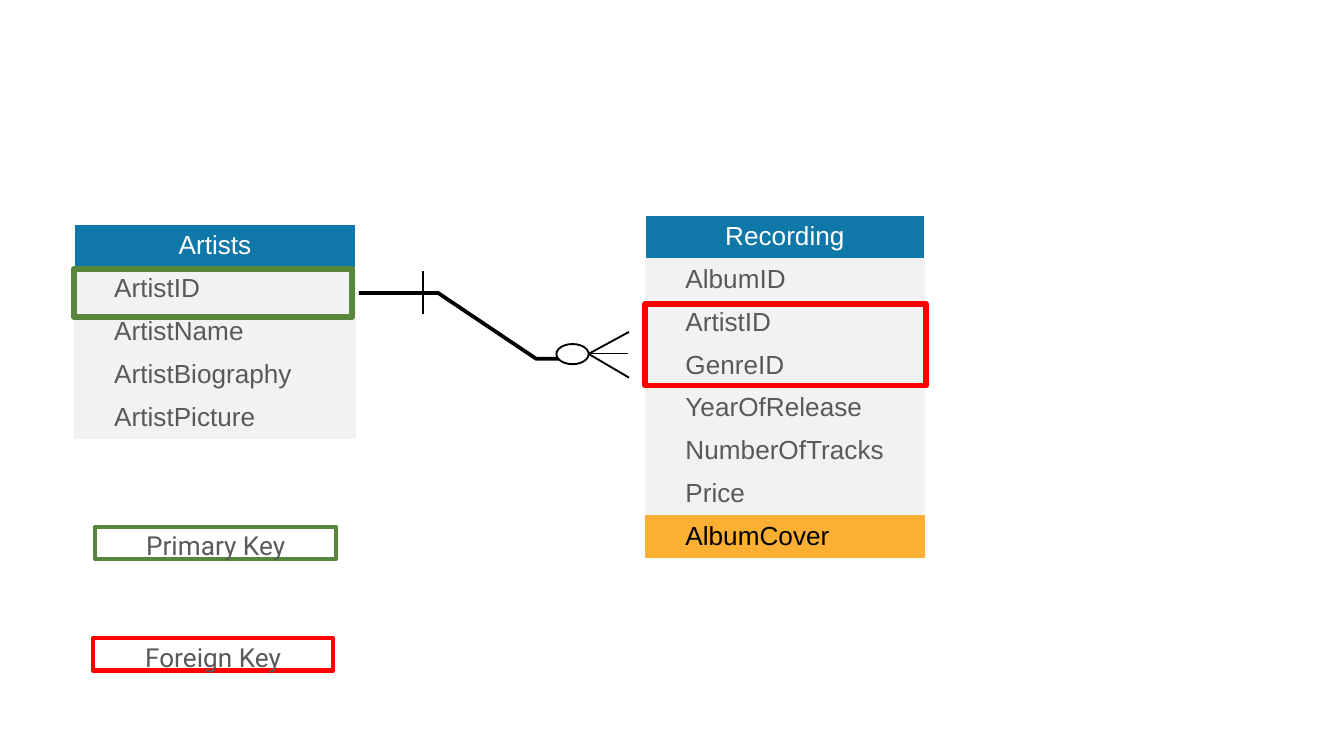
from lxml.etree import SubElement
from pptx import Presentation
from pptx.dml.color import RGBColor
from pptx.enum.shapes import MSO_CONNECTOR, MSO_SHAPE
from pptx.enum.text import MSO_ANCHOR, PP_ALIGN
from pptx.oxml import parse_xml
from pptx.oxml.ns import nsdecls, qn
from pptx.util import Inches, Pt

COLORS = {
    "header": "1077A9", "row": "F2F2F2", "highlight": "FBAF33", "text": "595959",
    "primary": "57863C", "foreign": "FF0000", "black": "000000", "white": "FFFFFF",
}
ROW_HEIGHT = 0.31
NO_STYLE = "{2D5ABB26-0587-4C30-8999-92F81FD0307C}"


def rgb(name):
    """Return the named colour."""
    return RGBColor.from_string(COLORS[name])


def style_text(p, font, color, align):
    """Align a paragraph and format its runs."""
    p.alignment = align
    for r in p.runs:
        r.font.name, r.font.size, r.font.bold = font, Pt(14), False
        r.font.color.rgb = rgb(color)


def add_header_borders(cell):
    """Give a header cell white left, right and top borders."""
    tcPr = cell._tc.get_or_add_tcPr()
    for i, side in enumerate(("lnL", "lnR", "lnT")):
        tcPr.insert(i, parse_xml(
            f'<a:{side} {nsdecls("a")} w="12700"><a:solidFill>'
            f'<a:srgbClr val="{COLORS["white"]}"/></a:solidFill></a:{side}>'))


def add_entity(s, left, top, width, name, fields, highlighted=()):
    """Add an entity table with a header and one row for each field."""
    rows = [name, *fields]
    table = s.shapes.add_table(
        len(rows), 1, Inches(left), Inches(top), Inches(width),
        Inches(ROW_HEIGHT * len(rows))).table
    table.first_row = table.horz_banding = False
    table._tbl.tblPr.find(qn("a:tableStyleId")).text = NO_STYLE
    for i, text in enumerate(rows):
        table.rows[i].height = Inches(ROW_HEIGHT)
        cell = table.cell(i, 0)
        cell.text_frame.text = text
        p = cell.text_frame.paragraphs[0]
        if i == 0:
            fill, color, align = "header", "white", PP_ALIGN.CENTER
        else:
            fill, color, align = "row", "text", PP_ALIGN.LEFT
            if text in highlighted:
                fill, color = "highlight", "black"
            p._p.get_or_add_pPr().set("marL", str(Inches(0.2)))
        style_text(p, "Arial", color, align)
        cell.fill.solid()
        cell.fill.fore_color.rgb = rgb(fill)
        if i == 0:
            add_header_borders(cell)


def add_outline(shapes, kind, left, top, width, height, color, weight, fill=None):
    """Add an outlined shape, unfilled unless a fill is named."""
    sp = shapes.add_shape(kind, Inches(left), Inches(top), Inches(width), Inches(height))
    sp.shadow.inherit = False
    sp.line.color.rgb, sp.line.width = rgb(color), Pt(weight)
    if fill:
        sp.fill.solid()
        sp.fill.fore_color.rgb = rgb(fill)
    else:
        sp.fill.background()
    return sp


def add_key_label(s, left, top, text, color):
    """Add a legend box for one kind of key."""
    sp = add_outline(s.shapes, MSO_SHAPE.RECTANGLE, left, top, 1.79, 0.24, color, 2.25)
    tf = sp.text_frame
    tf.margin_left = tf.margin_right = tf.margin_top = tf.margin_bottom = 0
    tf.vertical_anchor = MSO_ANCHOR.MIDDLE
    tf.word_wrap = True
    tf.text = text
    p = tf.paragraphs[0]
    p.line_spacing, p.space_after = 1.16, Pt(6)
    style_text(p, "Roboto", "text", PP_ALIGN.CENTER)


def add_line(shapes, x1, y1, x2, y2):
    """Add a thin straight black line."""
    line = shapes.add_connector(
        MSO_CONNECTOR.STRAIGHT, Inches(x1), Inches(y1), Inches(x2), Inches(y2))
    line.line.color.rgb, line.line.width = rgb("black"), Pt(1)
    SubElement(line._element.spPr, qn("a:effectLst"))


def add_relation(s, points):
    """Add the bent relation line through the given points."""
    (x, y), *rest = [(Inches(px), Inches(py)) for px, py in points]
    builder = s.shapes.build_freeform(x, y)
    builder.add_line_segments(rest, close=False)
    sp = builder.convert_to_shape()
    sp.shadow.inherit = False
    sp.fill.background()
    sp.line.color.rgb, sp.line.width = rgb("black"), Pt(2)


def add_zero_or_many(s):
    """Add the grouped crow's foot with its circle."""
    shapes = s.shapes.add_group_shape().shapes
    add_line(shapes, 4.35, 2.63, 4.67, 2.63)
    add_line(shapes, 4.33, 2.66, 4.68, 2.47)
    add_line(shapes, 4.34, 2.61, 4.68, 2.81)
    add_outline(shapes, MSO_SHAPE.OVAL, 4.14, 2.56, 0.24, 0.15, "black", 1, "white")


def main():
    """Build the entity relationship slide."""
    prs = Presentation()
    prs.slide_width = Inches(10)
    prs.slide_height = prs.slide_width * 9 // 16
    s = prs.slides.add_slide(prs.slide_layouts[6])
    add_relation(s, [(2.67, 2.18), (3.26, 2.18), (3.99, 2.67), (4.26, 2.67)])
    add_entity(s, 0.55, 1.67, 2.1, "Artists",
               ["ArtistID", "ArtistName", "ArtistBiography", "ArtistPicture"])
    add_entity(s, 4.8, 1.6, 2.08, "Recording",
               ["AlbumID", "ArtistID", "GenreID", "YearOfRelease",
                "NumberOfTracks", "Price", "AlbumCover"], ["AlbumCover"])
    add_outline(s.shapes, MSO_SHAPE.RECTANGLE, 0.55, 2, 2.07, 0.36, "primary", 3)
    add_key_label(s, 0.71, 3.92, "Primary Key", "primary")
    add_key_label(s, 0.69, 4.75, "Foreign Key", "foreign")
    add_zero_or_many(s)
    add_outline(s.shapes, MSO_SHAPE.RECTANGLE, 4.8, 2.26, 2.09, 0.61, "foreign", 3)
    add_line(s.shapes, 3.15, 2.02, 3.15, 2.34)
    prs.save("out.pptx")


if __name__ == "__main__":
    main()
